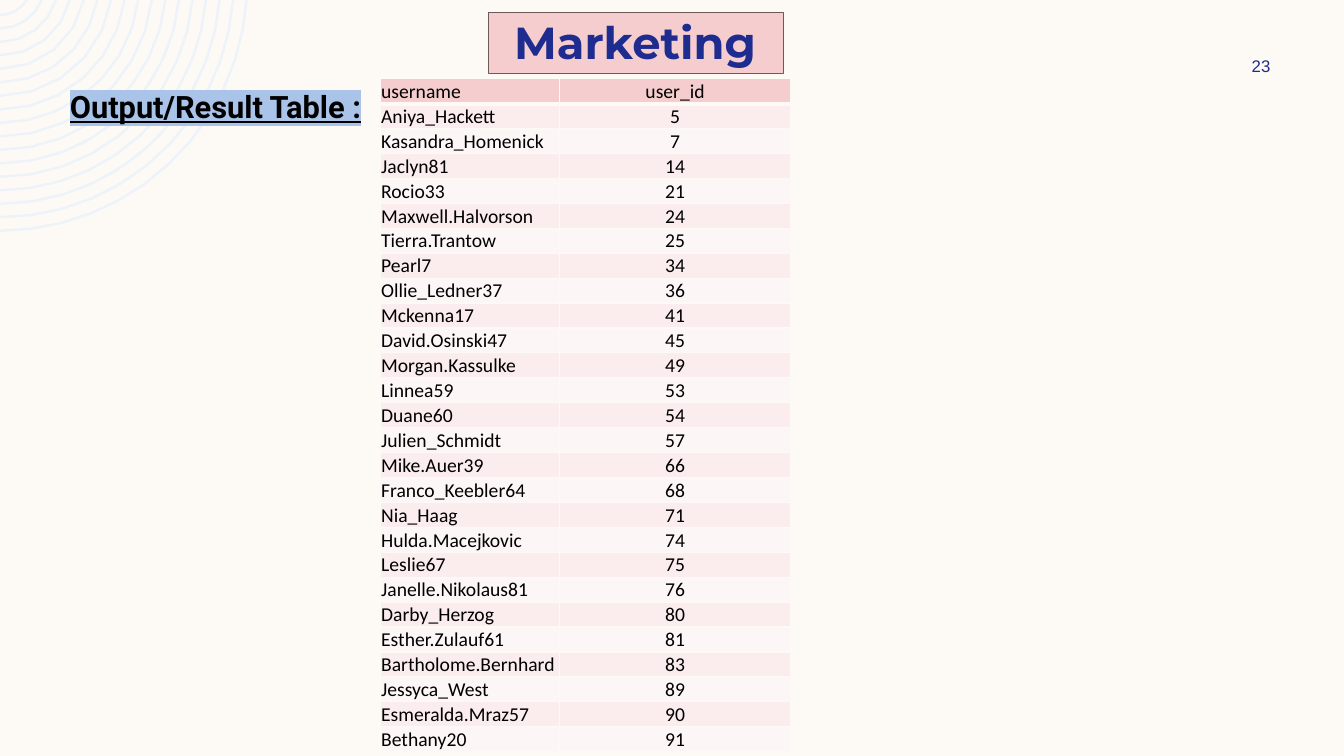
from dataclasses import dataclass
from math import asin, cos, pi, sin

from lxml.etree import SubElement
from pptx import Presentation
from pptx.dml.color import RGBColor
from pptx.enum.shapes import MSO_SHAPE
from pptx.enum.text import MSO_ANCHOR, MSO_AUTO_SIZE, PP_ALIGN
from pptx.oxml.ns import qn
from pptx.shapes.autoshape import Shape
from pptx.slide import Slide
from pptx.table import _Cell
from pptx.text.text import _Paragraph
from pptx.util import Emu, Pt

EMU_PER_PIXEL = 9525


@dataclass(frozen=True)
class TextStyle:
    font: str
    size: int
    color: str
    bold: bool = False
    underline: bool = False


@dataclass(frozen=True)
class Theme:
    background: str = "FDFAF6"
    rings: str = "EEF3FA"
    accent: str = "F5CDCE"
    accent_line: str = "6B5A5A"
    odd_row: str = "FBEDED"
    even_row: str = "FDF6F6"
    highlight: str = "AAC4E9"
    title: TextStyle = TextStyle("Montserrat", 32, "1F2C8F", bold=True)
    heading: TextStyle = TextStyle("Roboto", 22, "000000", bold=True, underline=True)
    number: TextStyle = TextStyle("Arial", 12, "1F2C8F")
    cell: TextStyle = TextStyle("Calibri", 14, "000000")


@dataclass(frozen=True)
class Box:
    left: int
    top: int
    width: int
    height: int

    def emu(self) -> tuple[Emu, Emu, Emu, Emu]:
        return pixels(self.left), pixels(self.top), pixels(self.width), pixels(self.height)


@dataclass(frozen=True)
class User:
    username: str
    user_id: str


THEME = Theme()
HEADER = User("username", "user_id")
USERS = [
    User("Aniya_Hackett", "5"),
    User("Kasandra_Homenick", "7"),
    User("Jaclyn81", "14"),
    User("Rocio33", "21"),
    User("Maxwell.Halvorson", "24"),
    User("Tierra.Trantow", "25"),
    User("Pearl7", "34"),
    User("Ollie_Ledner37", "36"),
    User("Mckenna17", "41"),
    User("David.Osinski47", "45"),
    User("Morgan.Kassulke", "49"),
    User("Linnea59", "53"),
    User("Duane60", "54"),
    User("Julien_Schmidt", "57"),
    User("Mike.Auer39", "66"),
    User("Franco_Keebler64", "68"),
    User("Nia_Haag", "71"),
    User("Hulda.Macejkovic", "74"),
    User("Leslie67", "75"),
    User("Janelle.Nikolaus81", "76"),
    User("Darby_Herzog", "80"),
    User("Esther.Zulauf61", "81"),
    User("Bartholome.Bernhard", "83"),
    User("Jessyca_West", "89"),
    User("Esmeralda.Mraz57", "90"),
    User("Bethany20", "91"),
]
COLUMN_WIDTHS = (171, 220)
ROW_HEIGHT = 22


def pixels(count: int) -> Emu:
    return Emu(count * EMU_PER_PIXEL)


def rgb(color: str) -> RGBColor:
    return RGBColor.from_string(color)


def place(shape: Shape, box: Box) -> None:
    shape.left, shape.top, shape.width, shape.height = box.emu()


def style_paragraph(paragraph: _Paragraph, style: TextStyle, alignment: PP_ALIGN) -> None:
    paragraph.alignment = alignment
    for run in paragraph.runs:
        run.font.name = style.font
        run.font.size = Pt(style.size)
        run.font.bold = style.bold
        run.font.underline = style.underline
        run.font.color.rgb = rgb(style.color)


def write_text(shape: Shape, text: str, style: TextStyle, alignment: PP_ALIGN, anchor: MSO_ANCHOR) -> None:
    frame = shape.text_frame
    frame.text = text
    frame.word_wrap = True
    frame.auto_size = MSO_AUTO_SIZE.NONE
    frame.vertical_anchor = anchor
    style_paragraph(frame.paragraphs[0], style, alignment)


def arc(radius: float, center_y: float) -> list[tuple[float, float]]:
    steps = max(4, round(radius / 20))
    start = asin(-center_y / radius)
    angles = [start + (pi / 2 - start) * step / steps for step in range(steps + 1)]
    return [(radius * cos(angle) * 100, (center_y + radius * sin(angle)) * 100) for angle in angles]


def draw_rings(slide: Slide) -> Shape:
    center_y, outer_radius, spacing, thickness = -15.6, 236.5, 12.84, 2.4
    radii = [outer_radius - spacing * index for index in range(17)]
    rings = [arc(radius, center_y) + arc(radius - thickness, center_y)[::-1] for radius in radii]
    builder = slide.shapes.build_freeform(*rings[0][0], scale=EMU_PER_PIXEL / 100)
    builder.add_line_segments(rings[0][1:], close=True)
    for ring in rings[1:]:
        builder.move_to(*ring[0])
        builder.add_line_segments(ring[1:], close=True)
    shape = builder.convert_to_shape()
    shape.shadow.inherit = False
    shape.fill.solid()
    shape.fill.fore_color.rgb = rgb(THEME.rings)
    shape.line.fill.background()
    return shape


def draw_title_panel(slide: Slide) -> Shape:
    panel = slide.shapes.add_shape(MSO_SHAPE.RECTANGLE, *Box(465, 12, 281, 58).emu())
    panel.shadow.inherit = False
    panel.fill.solid()
    panel.fill.fore_color.rgb = rgb(THEME.accent)
    panel.line.color.rgb = rgb(THEME.accent_line)
    panel.line.width = Pt(1)
    return panel


def write_heading(body: Shape) -> None:
    place(body, Box(57, 79, 1167, 179))
    write_text(body, "Output/Result Table :", THEME.heading, PP_ALIGN.LEFT, MSO_ANCHOR.TOP)
    paragraph = body.text_frame.paragraphs[0]
    paragraph.space_before = Pt(0)
    properties = paragraph._p.get_or_add_pPr()
    properties.set("marL", "0")
    properties.set("indent", "0")
    SubElement(properties, qn("a:buNone"))
    run_properties = paragraph.runs[0]._r.get_or_add_rPr()
    highlight = SubElement(run_properties, qn("a:highlight"))
    SubElement(highlight, qn("a:srgbClr"), val=THEME.highlight)
    run_properties.find(qn("a:solidFill")).addnext(highlight)


def format_cell(cell: _Cell, text: str, fill: str, alignment: PP_ALIGN, bottom_width: int) -> None:
    cell.text = text
    cell.vertical_anchor = MSO_ANCHOR.BOTTOM
    cell.margin_left = cell.margin_right = cell.margin_top = pixels(1)
    cell.margin_bottom = 0
    style_paragraph(cell.text_frame.paragraphs[0], THEME.cell, alignment)
    properties = cell._tc.get_or_add_tcPr()
    for side, width in (("L", 1), ("R", 1), ("T", 1), ("B", bottom_width)):
        border = SubElement(properties, qn(f"a:ln{side}"), w=str(int(Pt(width))))
        solid = SubElement(border, qn("a:solidFill"))
        SubElement(solid, qn("a:srgbClr"), val=THEME.background)
    cell.fill.solid()
    cell.fill.fore_color.rgb = rgb(fill)


def draw_user_table(slide: Slide) -> None:
    rows = [HEADER, *USERS]
    box = Box(362, 75, sum(COLUMN_WIDTHS), ROW_HEIGHT * len(rows))
    table = slide.shapes.add_table(len(rows), len(COLUMN_WIDTHS), *box.emu()).table
    table.first_row = table.horz_banding = False
    for column, width in zip(table.columns, COLUMN_WIDTHS):
        column.width = pixels(width)
    for index, user in enumerate(rows):
        fill = THEME.accent if index == 0 else THEME.odd_row if index % 2 else THEME.even_row
        bottom_width = 3 if index == 0 else 1
        format_cell(table.cell(index, 0), user.username, fill, PP_ALIGN.LEFT, bottom_width)
        format_cell(table.cell(index, 1), user.user_id, fill, PP_ALIGN.CENTER, bottom_width)


def main() -> None:
    presentation = Presentation()
    presentation.slide_width, presentation.slide_height = pixels(1280), pixels(720)
    slide = presentation.slides.add_slide(presentation.slide_layouts[1])
    slide.background.fill.solid()
    slide.background.fill.fore_color.rgb = rgb(THEME.background)
    title, body = slide.shapes.title, slide.placeholders[1]
    for backdrop in (draw_rings(slide), draw_title_panel(slide)):
        title.element.addprevious(backdrop.element)
    place(title, Box(480, 25, 336, 29))
    write_text(title, "Marketing", THEME.title, PP_ALIGN.LEFT, MSO_ANCHOR.MIDDLE)
    write_heading(body)
    number = slide.shapes.add_textbox(*Box(1149, 48, 104, 29).emu())
    write_text(number, "23", THEME.number, PP_ALIGN.CENTER, MSO_ANCHOR.MIDDLE)
    draw_user_table(slide)
    presentation.save("out.pptx")


if __name__ == "__main__":
    main()
